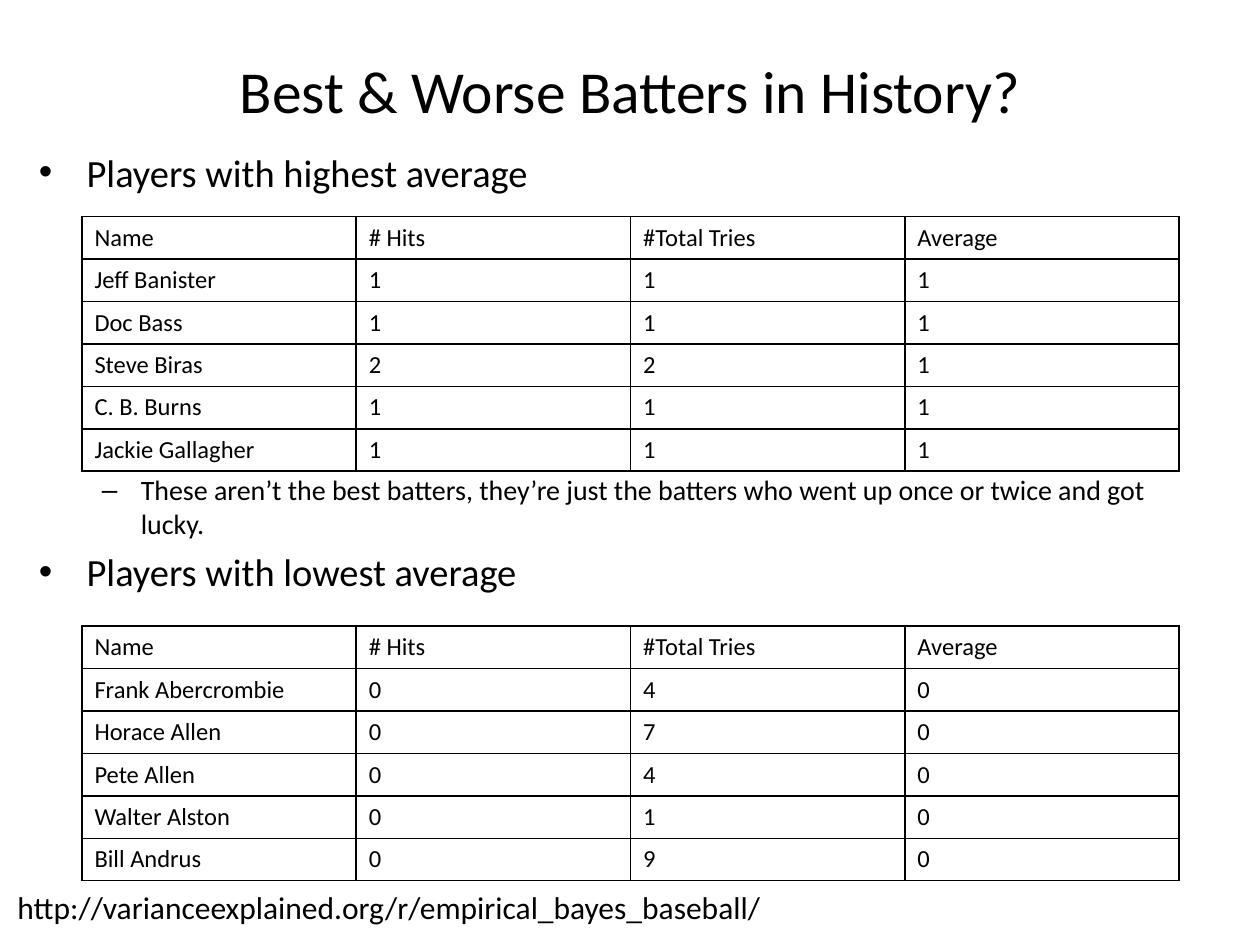
import pptx
import pptx.dml.color
import pptx.enum.text
import pptx.oxml.ns
import pptx.util
from lxml import etree
from pptx.util import Inches

COLORS = {"text": "000000", "border": "000000"}
FONT = "Calibri"
HEADER = ("Name", "# Hits", "#Total Tries", "Average")
HIGHEST = [
    ("Jeff Banister", 1, 1, 1),
    ("Doc Bass", 1, 1, 1),
    ("Steve Biras", 2, 2, 1),
    ("C. B. Burns", 1, 1, 1),
    ("Jackie Gallagher", 1, 1, 1),
]
LOWEST = [
    ("Frank Abercrombie", 0, 4, 0),
    ("Horace Allen", 0, 7, 0),
    ("Pete Allen", 0, 4, 0),
    ("Walter Alston", 0, 1, 0),
    ("Bill Andrus", 0, 9, 0),
]
# Text, size, bullet, left margin and hanging indent in inches, space before in points.
# The note's large space leaves room for the first table.
OUTLINE = [
    ("Players with highest average", 22, "•", 0.38, 0.38, 0),
    ("These aren’t the best batters, they’re just the batters who went up "
     "once or twice and got lucky.", 16, "–", 0.81, 0.31, 159),
    ("Players with lowest average", 22, "•", 0.38, 0.38, 4.4),
]


def format_font(font, size):
    font.name = FONT
    font.size = pptx.util.Pt(size)
    font.color.rgb = pptx.dml.color.RGBColor.from_string(COLORS["text"])


def add_text(slide, left, top, width, height, text, size, wrap=True):
    box = slide.shapes.add_textbox(Inches(left), Inches(top), Inches(width), Inches(height))
    frame = box.text_frame
    frame.word_wrap = wrap
    frame.text = text
    format_font(frame.paragraphs[0].runs[0].font, size)
    return frame


def add_title(slide, text):
    frame = add_text(slide, 0.5, 0.09, 9, 1.25, text, 34)
    frame.vertical_anchor = pptx.enum.text.MSO_ANCHOR.MIDDLE
    frame.paragraphs[0].alignment = pptx.enum.text.PP_ALIGN.CENTER


def set_bullet(paragraph, character, margin, hanging):
    properties = paragraph._p.get_or_add_pPr()
    properties.set("marL", str(Inches(margin)))
    properties.set("indent", str(-Inches(hanging)))
    font = etree.SubElement(properties, pptx.oxml.ns.qn("a:buFont"))
    font.set("typeface", "Arial")
    bullet = etree.SubElement(properties, pptx.oxml.ns.qn("a:buChar"))
    bullet.set("char", character)


def add_outline(slide, items):
    box = slide.shapes.add_textbox(Inches(0.21), Inches(1.13), Inches(9), Inches(4.95))
    frame = box.text_frame
    frame.word_wrap = True
    frame.text = "\n".join(item[0] for item in items)
    for paragraph, item in zip(frame.paragraphs, items):
        _, size, bullet, margin, hanging, space = item
        set_bullet(paragraph, bullet, margin, hanging)
        paragraph.space_before = pptx.util.Pt(space)
        format_font(paragraph.runs[0].font, size)


def set_borders(cell):
    properties = cell._tc.get_or_add_tcPr()
    for index, side in enumerate(("lnL", "lnR", "lnT", "lnB")):
        line = etree.Element(pptx.oxml.ns.qn(f"a:{side}"), w=str(pptx.util.Pt(1)))
        fill = etree.SubElement(line, pptx.oxml.ns.qn("a:solidFill"))
        etree.SubElement(fill, pptx.oxml.ns.qn("a:srgbClr"), val=COLORS["border"])
        properties.insert(index, line)


def add_player_table(slide, top, players):
    rows = [HEADER, *players]
    table = slide.shapes.add_table(
        len(rows), len(HEADER), Inches(0.65), Inches(top), Inches(8.71), Inches(2.02)
    ).table
    table.first_row = False
    table.horz_banding = False
    for row_index, row in enumerate(rows):
        for column_index, value in enumerate(row):
            cell = table.cell(row_index, column_index)
            cell.text = str(value)
            cell.fill.background()
            set_borders(cell)
            format_font(cell.text_frame.paragraphs[0].runs[0].font, 14)


def main():
    presentation = pptx.Presentation()
    presentation.slide_width = Inches(10)
    presentation.slide_height = Inches(7.5)
    slide = presentation.slides.add_slide(presentation.slide_layouts[6])
    add_outline(slide, OUTLINE)
    add_title(slide, "Best & Worse Batters in History?")
    add_player_table(slide, 1.72, HIGHEST)
    add_player_table(slide, 4.97, LOWEST)
    add_text(slide, 0.04, 7, 6.18, 0.4,
             "http://varianceexplained.org/r/empirical_bayes_baseball/", 18, wrap=False)
    presentation.save("out.pptx")


if __name__ == "__main__":
    main()
